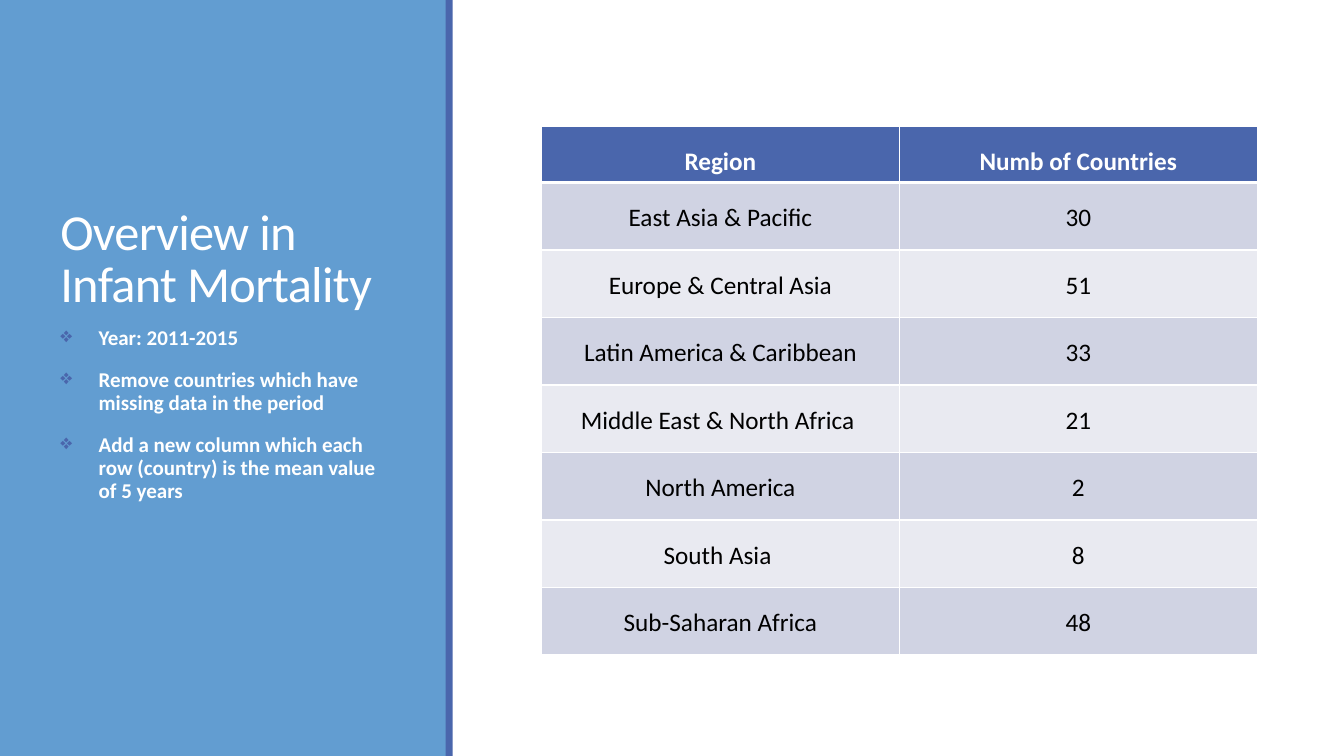
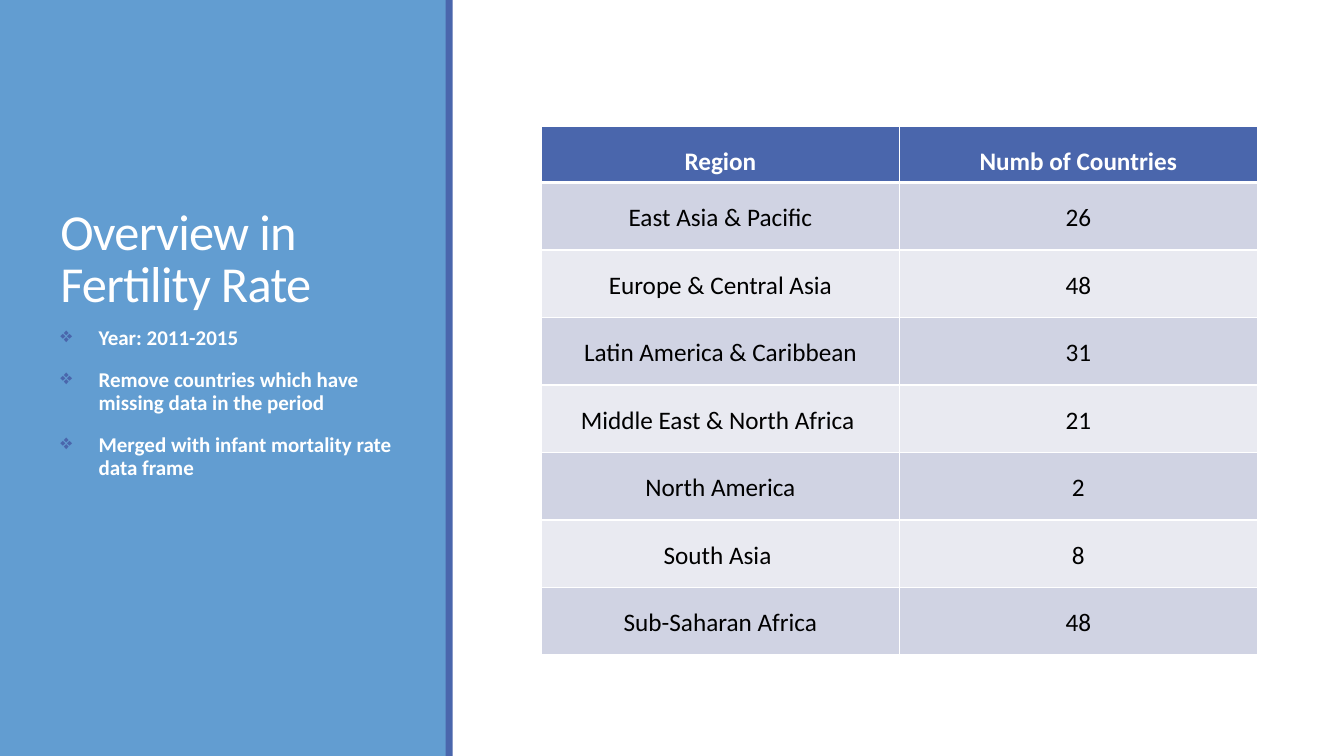
from dataclasses import dataclass

from lxml.etree import SubElement
from pptx import Presentation
from pptx.dml.color import RGBColor
from pptx.enum.shapes import MSO_SHAPE
from pptx.enum.text import MSO_ANCHOR, PP_ALIGN
from pptx.oxml.ns import qn
from pptx.util import Inches, Pt


@dataclass(frozen=True)
class Theme:
    font: str = "Calibri"
    panel: str = "629DD1"
    accent: str = "4A66AC"
    light: str = "FFFFFF"
    dark: str = "000000"
    bands: tuple = ("D0D3E3", "E9EAF1")
    title_size: int = 36
    bullet_size: int = 15
    table_size: int = 18


REGIONS = (
    "East Asia & Pacific",
    "Europe & Central Asia",
    "Latin America & Caribbean",
    "Middle East & North Africa ",
    "North America",
    "South Asia ",
    "Sub-Saharan Africa",
)
COMMON_NOTES = (
    "Year: 2011-2015",
    "Remove countries which have missing data in the period",
)
OVERVIEWS = (
    (
        "Overview in Infant Mortality",
        "Add a new column which each row (country) is the mean value of 5 years",
        (30, 51, 33, 21, 2, 8, 48),
    ),
    (
        "Overview in Fertility Rate",
        "Merged with infant mortality rate data frame",
        (26, 48, 31, 21, 2, 8, 48),
    ),
)


def add_solid_fill(parent, color):
    fill = SubElement(parent, qn("a:solidFill"))
    SubElement(fill, qn("a:srgbClr"), val=color)


class OverviewDeck:
    def __init__(self, theme):
        self.theme = theme
        self.deck = Presentation()
        self.deck.slide_width = Inches(13.33)
        self.deck.slide_height = Inches(7.5)
        self.page = None

    def add_page(self):
        self.page = self.deck.slides.add_slide(self.deck.slide_layouts[6])
        # Side panel and its accent edge
        self.add_band(0, 4.43, self.theme.panel)
        self.add_band(4.42, 0.07, self.theme.accent)

    def add_band(self, left, width, color):
        band = self.page.shapes.add_shape(
            MSO_SHAPE.RECTANGLE,
            Inches(left), 0, Inches(width), self.deck.slide_height,
        )
        band.shadow.inherit = False
        band.fill.solid()
        band.fill.fore_color.rgb = RGBColor.from_string(color)
        band.line.fill.background()

    def add_span(self, para, text, size, color, bold=False):
        span = para.add_run()
        span.text = text
        span.font.name = self.theme.font
        span.font.size = Pt(size)
        span.font.bold = bold
        span.font.color.rgb = RGBColor.from_string(color)
        return span

    def add_panel_text(self, top, height, anchor):
        box = self.page.shapes.add_textbox(
            Inches(0.5), Inches(top), Inches(3.5), Inches(height)
        )
        frame = box.text_frame
        frame.word_wrap = True
        frame.vertical_anchor = anchor
        return frame

    def add_title(self, text):
        frame = self.add_panel_text(0.65, 2.5, MSO_ANCHOR.BOTTOM)
        para = frame.paragraphs[0]
        para.line_spacing = 0.85
        span = self.add_span(para, text, self.theme.title_size, self.theme.light)
        # Letter spacing in hundredths of a point
        span.font._element.set("spc", "-50")

    def add_bullets(self, notes):
        frame = self.add_panel_text(3.2, 3.7, MSO_ANCHOR.TOP)
        for index, note in enumerate(notes):
            para = frame.add_paragraph() if index else frame.paragraphs[0]
            self.set_bullet(para)
            para.line_spacing = 0.9
            para.space_before = Pt(12 if index else 0)
            para.space_after = Pt(2)
            self.add_span(
                para, note, self.theme.bullet_size, self.theme.light, bold=True
            )

    def set_bullet(self, para):
        props = para._p.get_or_add_pPr()
        indent = Inches(0.38)
        props.set("marL", str(indent))
        props.set("indent", str(-indent))
        color = SubElement(props, qn("a:buClr"))
        SubElement(color, qn("a:srgbClr"), val=self.theme.accent)
        SubElement(props, qn("a:buChar"), char="❖")

    def add_table(self, rows):
        frame = self.page.shapes.add_table(
            len(rows), len(rows[0]),
            Inches(5.37), Inches(1.25), Inches(7.1), Inches(5.25),
        )
        table = frame.table
        table.horz_banding = False
        for row_index, values in enumerate(rows):
            table.rows[row_index].height = Inches(0.67 if row_index else 0.56)
            for column, value in enumerate(values):
                self.fill_cell(table.cell(row_index, column), str(value), row_index)

    def fill_cell(self, cell, text, row_index):
        header = row_index == 0
        # The rule under the header is heavier than the grid
        self.set_borders(
            cell, top=3 if row_index == 1 else 1, bottom=3 if header else 1
        )
        fill = self.theme.accent if header else self.theme.bands[(row_index - 1) % 2]
        cell.fill.solid()
        cell.fill.fore_color.rgb = RGBColor.from_string(fill)
        para = cell.text_frame.paragraphs[0]
        para.alignment = PP_ALIGN.CENTER
        para.line_spacing = 1.5
        color = self.theme.light if header else self.theme.dark
        self.add_span(para, text, self.theme.table_size, color, bold=header)

    def set_borders(self, cell, top, bottom):
        props = cell._tc.get_or_add_tcPr()
        for side, weight in (("L", 1), ("R", 1), ("T", top), ("B", bottom)):
            line = SubElement(props, qn(f"a:ln{side}"), w=str(Pt(weight)))
            add_solid_fill(line, self.theme.light)


def main():
    overview = OverviewDeck(Theme())
    for title, last_note, counts in OVERVIEWS:
        overview.add_page()
        overview.add_title(title)
        overview.add_table([("Region", "Numb of Countries"), *zip(REGIONS, counts)])
        overview.add_bullets((*COMMON_NOTES, last_note))
    overview.deck.save("out.pptx")


if __name__ == "__main__":
    main()
